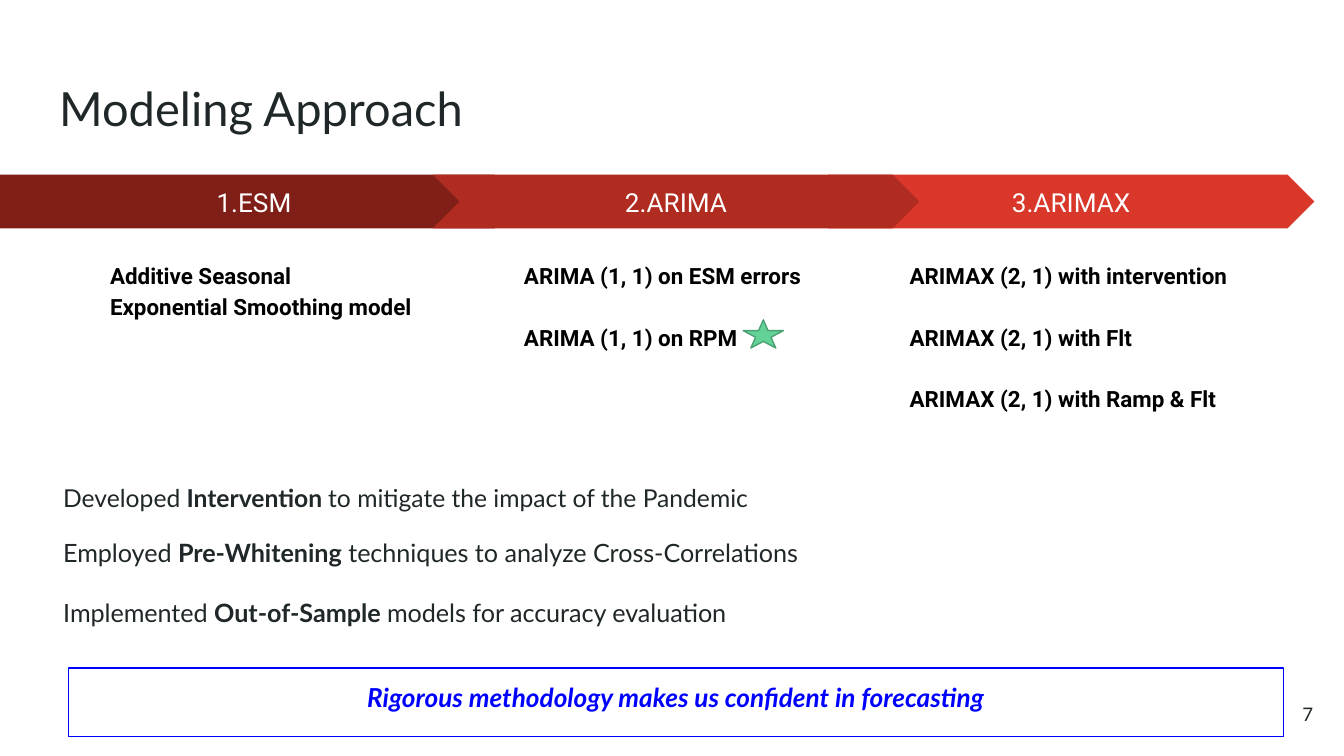
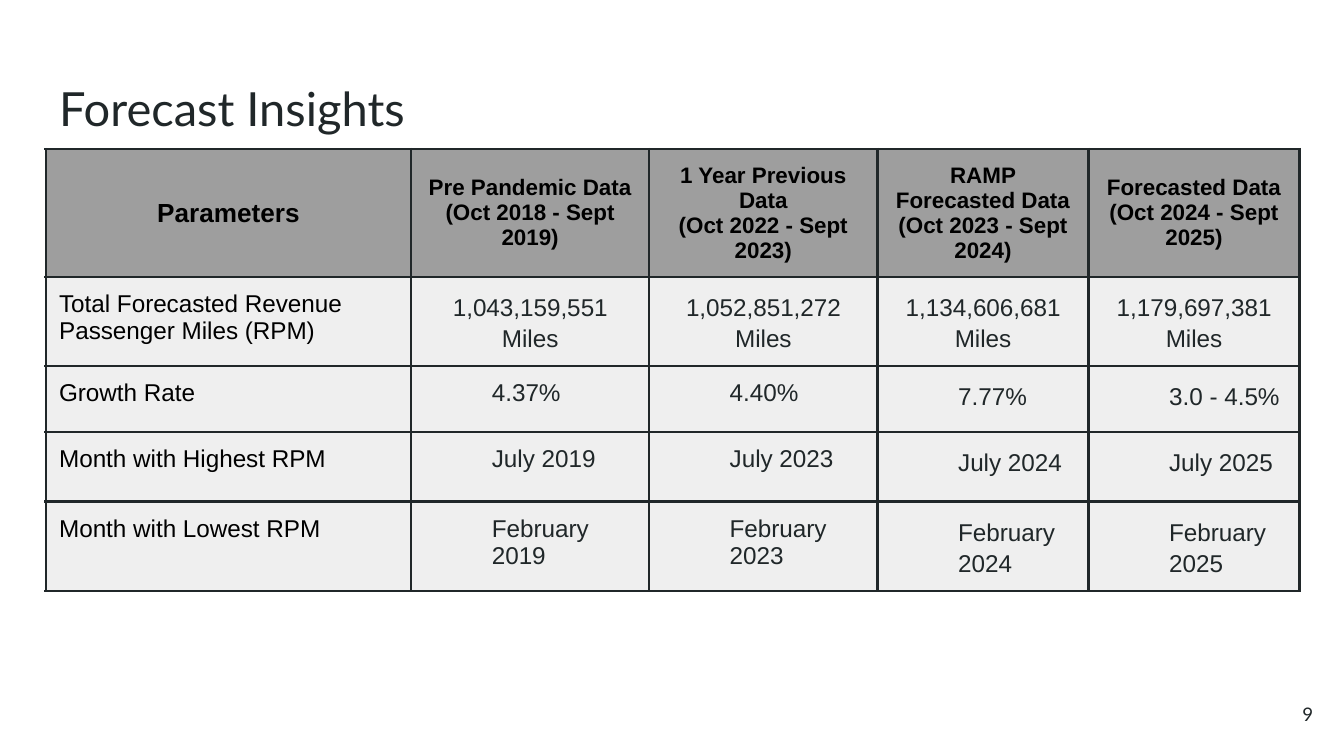
from dataclasses import dataclass, replace
from typing import NamedTuple

from lxml.etree import SubElement
from pptx import Presentation
from pptx.dml.color import RGBColor
from pptx.enum.shapes import MSO_SHAPE
from pptx.enum.text import MSO_ANCHOR, MSO_AUTO_SIZE, PP_ALIGN
from pptx.oxml.ns import qn
from pptx.util import Inches, Pt


@dataclass(frozen=True)
class Theme:
    ink: str = "202729"
    black: str = "000000"
    white: str = "FFFFFF"
    blue: str = "0000FF"
    green: str = "63D297"
    moss: str = "4BA173"
    maroon: str = "801F17"
    brick: str = "B02B20"
    red: str = "D83729"
    head: str = "9E9E9E"
    pale: str = "EFEFEF"
    sans: str = "Lato"
    block: str = "Roboto"
    grid: str = "Arial"
    title: float = 25.2
    band: float = 14
    note: float = 13.5
    lead: float = 13.2
    cell: float = 13
    small: float = 12
    page: float = 10
    thin: float = 0.75
    rule: float = 1.5


THEME = Theme()


@dataclass(frozen=True)
class Look:
    font: str
    size: float
    color: str
    bold: bool = False
    slant: bool = False
    align: PP_ALIGN = PP_ALIGN.LEFT
    lines: float = 1.0
    after: float = 0
    indent: float = 0
    anchor: MSO_ANCHOR = MSO_ANCHOR.TOP


class Box(NamedTuple):
    left: float
    top: float
    width: float
    height: float


class Stage(NamedTuple):
    name: str
    shape: MSO_SHAPE
    color: str
    left: float
    width: float
    inset: float
    span: float
    models: str


class Note(NamedTuple):
    slot: int
    top: float
    height: float
    lead: str
    key: str
    tail: str
    look: Look


TITLE = Look(THEME.sans, THEME.title, THEME.ink)
PAGE = Look(THEME.sans, THEME.page, THEME.ink, align=PP_ALIGN.RIGHT,
            anchor=MSO_ANCHOR.MIDDLE)
BAND = Look(THEME.block, THEME.band, THEME.white, align=PP_ALIGN.CENTER,
            anchor=MSO_ANCHOR.MIDDLE)
MODEL = Look(THEME.block, THEME.small, THEME.black, bold=True, lines=1.15,
             after=16.5)
NOTE = Look(THEME.sans, THEME.note, THEME.ink, lines=1.3)
CLAIM = Look(THEME.sans, THEME.band, THEME.blue, bold=True, slant=True,
             align=PP_ALIGN.CENTER)
HEAD = Look(THEME.grid, THEME.small, THEME.black, bold=True,
            align=PP_ALIGN.CENTER, anchor=MSO_ANCHOR.MIDDLE)
LABEL = Look(THEME.grid, THEME.cell, THEME.black)
VALUE = replace(LABEL, color=THEME.ink, indent=0.5)
LOOSE = replace(VALUE, lines=1.15, after=12)
TOTAL = replace(LOOSE, indent=0, align=PP_ALIGN.CENTER)

STAGES = (
    Stage("3.ARIMAX", MSO_SHAPE.CHEVRON, THEME.red, 6.16, 3.62, 0.51, 2.77,
          "ARIMAX (2, 1) with intervention\nARIMAX (2, 1) with Flt\n"
          "ARIMAX (2, 1) with Ramp & Flt"),
    Stage("1.ESM", MSO_SHAPE.PENTAGON, THEME.maroon, 0, 3.88, 0.72, 2.45,
          "Additive Seasonal Exponential Smoothing model"),
    Stage("2.ARIMA", MSO_SHAPE.CHEVRON, THEME.brick, 3.22, 3.62, 0.58, 2.45,
          "ARIMA (1, 1) on ESM errors\nARIMA (1, 1) on RPM"),
)
NOTES = (
    Note(1, 3.38, 0.4, "Developed ", "Intervention ",
         "to mitigate the impact of the Pandemic",
         replace(NOTE, size=THEME.lead, lines=1.5, after=12)),
    Note(2, 3.83, 0.4, "Employed ", "Pre-Whitening",
         " techniques to analyze Cross-Correlations", NOTE),
    Note(3, 4.28, 0.43, "Implemented ", "Out-of-Sample",
         " models for accuracy evaluation", replace(NOTE, after=12)),
)
ROWS = (
    ("Parameters", "Pre Pandemic Data\n(Oct 2018 - Sept 2019)",
     "1 Year Previous Data\n(Oct 2022 - Sept 2023)",
     "RAMP\nForecasted Data\n(Oct 2023 - Sept 2024)",
     "Forecasted Data (Oct 2024 - Sept 2025)"),
    ("Total Forecasted Revenue Passenger Miles (RPM)",
     "1,043,159,551 Miles", "1,052,851,272 Miles",
     "1,134,606,681 Miles", "1,179,697,381 Miles"),
    ("Growth Rate", "4.37%", "4.40%", "7.77%", "3.0 - 4.5%"),
    ("Month with Highest RPM",
     "July 2019", "July 2023", "July 2024", "July 2025"),
    ("Month with Lowest RPM",
     "February 2019", "February 2023", "February 2024", "February 2025"),
)
WIDTHS = (2.72, 1.77, 1.7, 1.57, 1.57)
HEIGHTS = (0.95, 0.66, 0.49, 0.52, 0.66)


def tint(code: str) -> RGBColor:
    return RGBColor.from_string(code)


def place(shape, box: Box) -> None:
    shape.left, shape.top, shape.width, shape.height = map(Inches, box)


def style(frame, look: Look) -> None:
    for para in frame.paragraphs:
        para.alignment = look.align
        para.line_spacing = look.lines
        para.space_before = Pt(0)
        para.space_after = Pt(look.after)
        props = para._p.get_or_add_pPr()
        props.set("marL", str(Inches(look.indent)))
        props.set("indent", "0")
        SubElement(props, qn("a:buNone"))
        for run in para.runs:
            font = run.font
            font.name, font.size = look.font, Pt(look.size)
            font.bold, font.italic = look.bold, look.slant
            font.color.rgb = tint(look.color)


def dress(shape, look: Look) -> None:
    frame = shape.text_frame
    frame.word_wrap = True
    frame.auto_size = MSO_AUTO_SIZE.NONE
    frame.vertical_anchor = look.anchor
    frame.margin_left = frame.margin_right = Inches(0.1)
    frame.margin_top = frame.margin_bottom = Inches(0.1)
    style(frame, look)


def add_text(slide, box: Box, text: str, look: Look) -> None:
    shape = slide.shapes.add_textbox(*map(Inches, box))
    shape.text_frame.text = text
    dress(shape, look)


def add_form(slide, kind: MSO_SHAPE, box: Box, fill: str = "", line: str = ""):
    shape = slide.shapes.add_shape(kind, *map(Inches, box))
    shape.shadow.inherit = False
    if fill:
        shape.fill.solid()
        shape.fill.fore_color.rgb = tint(fill)
    else:
        shape.fill.background()
    if line:
        shape.line.color.rgb = tint(line)
        shape.line.width = Pt(THEME.thin)
    else:
        shape.line.fill.background()
    return shape


def start(deck, layout: int, title: str, page: str):
    slide = deck.slides.add_slide(deck.slide_layouts[layout])
    head = slide.shapes.title
    place(head, Box(0.34, 0.49, 9.32, 0.63))
    head.text_frame.text = title
    dress(head, TITLE)
    add_text(slide, Box(9.27, 5.1, 0.6, 0.43), page, PAGE)
    return slide


def add_stage(slide, stage: Stage) -> None:
    band = add_form(slide, stage.shape,
                    Box(stage.left, 1.3, stage.width, 0.4), stage.color)
    band.text_frame.text = stage.name
    dress(band, BAND)
    add_text(slide, Box(stage.left + stage.inset, 1.82, stage.span, 1.56),
             stage.models, MODEL)


def add_note(slide, note: Note) -> None:
    shape = slide.placeholders[note.slot]
    place(shape, Box(0.37, note.top, 9.32, note.height))
    para = shape.text_frame.paragraphs[0]
    para.text = note.lead
    key, tail = para.add_run(), para.add_run()
    key.text, tail.text = note.key, note.tail
    dress(shape, note.look)
    key.font.bold = True


def edge(cell) -> None:
    props = cell._tc.get_or_add_tcPr()
    for side in ("lnL", "lnR", "lnT", "lnB"):
        line = SubElement(props, qn(f"a:{side}"), w=str(Pt(THEME.rule)))
        fill = SubElement(line, qn("a:solidFill"))
        SubElement(fill, qn("a:srgbClr"), val=THEME.ink)


def choose(row: int, col: int) -> Look:
    if row == 0:
        return HEAD if col else replace(HEAD, size=THEME.band)
    if col == 0:
        return LABEL
    if row == 1:
        return TOTAL
    return VALUE if col < 3 else LOOSE


def add_grid(slide) -> None:
    box = Box(0.34, 1.11, sum(WIDTHS), sum(HEIGHTS))
    table = slide.shapes.add_table(len(ROWS), len(WIDTHS),
                                   *map(Inches, box)).table
    table.first_row = table.horz_banding = False
    for col, width in zip(table.columns, WIDTHS):
        col.width = Inches(width)
    for row, height in zip(table.rows, HEIGHTS):
        row.height = Inches(height)
    for i, texts in enumerate(ROWS):
        for j, text in enumerate(texts):
            cell, look = table.cell(i, j), choose(i, j)
            cell.text_frame.text = text
            cell.vertical_anchor = look.anchor
            cell.margin_left = cell.margin_right = Inches(0.1)
            cell.margin_top = cell.margin_bottom = Inches(0.1)
            style(cell.text_frame, look)
            edge(cell)
            cell.fill.solid()
            cell.fill.fore_color.rgb = tint(THEME.pale if i else THEME.head)


def main() -> None:
    deck = Presentation()
    deck.slide_width = Inches(10)
    deck.slide_height = Inches(10) * 9 // 16

    slide = start(deck, 4, "Modeling Approach", "7")
    for stage in STAGES:
        add_stage(slide, stage)
    for note in NOTES:
        add_note(slide, note)
    spare = slide.placeholders[4]._element
    spare.getparent().remove(spare)
    claim = add_form(slide, MSO_SHAPE.RECTANGLE, Box(0.51, 4.97, 9.04, 0.51),
                     line=THEME.blue)
    claim.text_frame.text = (
        "Rigorous methodology makes us confident in forecasting")
    dress(claim, CLAIM)
    add_form(slide, MSO_SHAPE.STAR_5_POINT, Box(5.53, 2.38, 0.3, 0.21),
             THEME.green, THEME.moss)

    add_grid(start(deck, 5, "Forecast Insights", "9"))
    deck.save("out.pptx")


if __name__ == "__main__":
    main()
